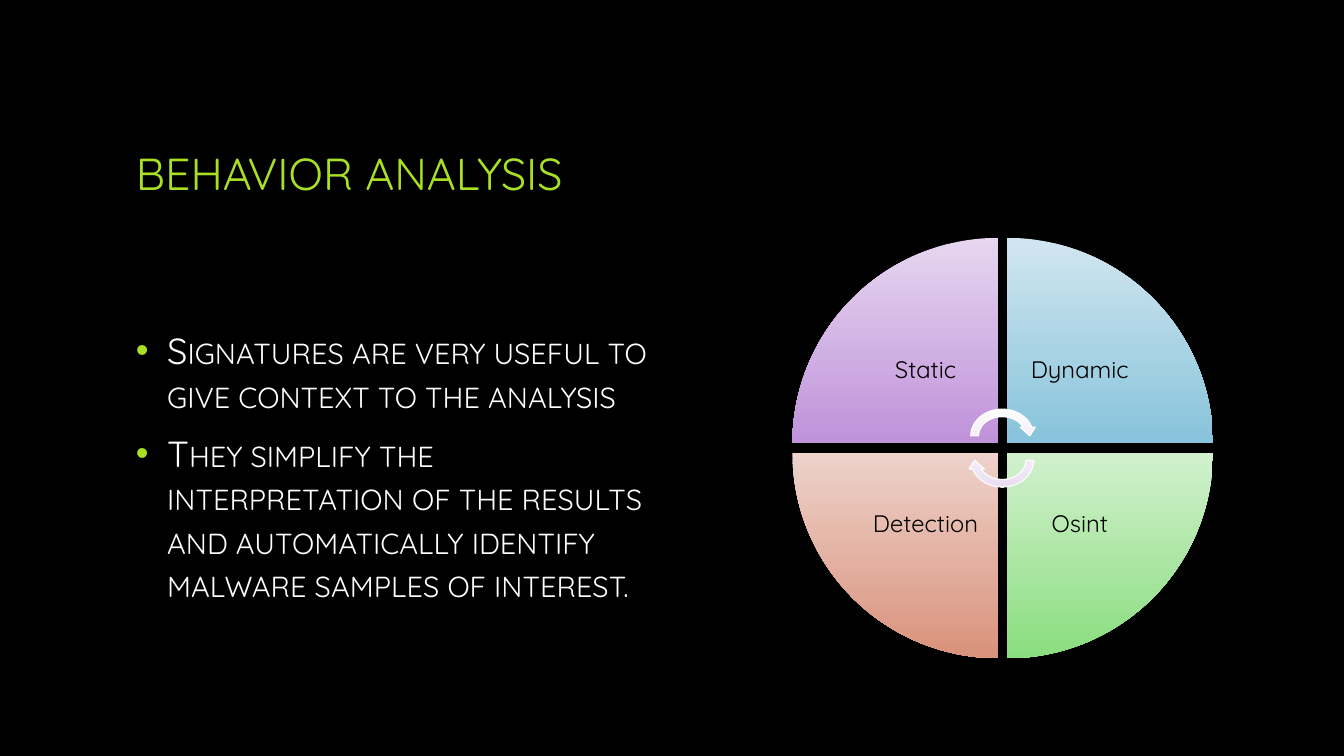
from pptx import Presentation
from pptx.dml.color import RGBColor
from pptx.enum import shapes, text
from pptx.oxml.ns import qn
from pptx.util import Inches, Pt
from lxml import etree

FONT = "Quicksand"
COLORS = {"back": "000000", "accent": "A9E023", "text": "FFFFFF", "label": "000000"}
TITLE = "BEHAVIOR ANALYSIS"
BULLETS = [
    "Signatures are very useful to give context to the analysis",
    "They simplify the interpretation of the results and automatically "
    "identify malware samples of interest.",
]
# label, column, row, rotation, gradient; clockwise from top left
WEDGES = [
    ("Static", 0, 0, 0, ("E6D6F0", "C092DA")),
    ("Dynamic", 1, 0, 90, ("D1E6F0", "87C3DB")),
    ("Osint", 1, 1, 180, ("D1F0CD", "8ADD7F")),
    ("Detection", 0, 1, 270, ("EED2CB", "D9927B")),
]
# top, rotation
ARROWS = [(4.02, 0), (4.26, 180)]
ARROW_GRADIENT = ("FFFFFF", "E8DCF1")
WHEEL_X, WHEEL_Y, WEDGE, PITCH, LABEL = 7.86, 2.36, 2.04, 2.13, 1.44


def rgb(value):
    return RGBColor.from_string(value)


def add_text(s, box, margins=(0.1, 0.05)):
    tf = s.shapes.add_textbox(*map(Inches, box)).text_frame
    tf.word_wrap = True
    tf.vertical_anchor = text.MSO_ANCHOR.MIDDLE
    tf.margin_left = tf.margin_right = Inches(margins[0])
    tf.margin_top = tf.margin_bottom = Inches(margins[1])
    return tf


def add_run(p, words, size, color):
    r = p.add_run()
    r.text = words
    r.font.name, r.font.size = FONT, Pt(size)
    r.font.color.rgb = rgb(color)
    return r


def add_gradient_shape(s, kind, box, rotation, gradient):
    sp = s.shapes.add_shape(kind, *map(Inches, box))
    sp.rotation = rotation
    sp.shadow.inherit = False
    sp.line.fill.background()
    sp.fill.gradient()
    sp.fill.gradient_angle = 270
    for stop, color in zip(sp.fill.gradient_stops, gradient):
        stop.color.rgb = rgb(color)
    # Light side stays on top whatever the rotation
    sp.element.spPr.find(qn("a:gradFill")).set("rotWithShape", "0")
    return sp


def add_bullet(p):
    pPr = p._p.get_or_add_pPr()
    pPr.set("marL", str(Inches(0.31)))
    pPr.set("indent", str(-Inches(0.31)))
    color = etree.SubElement(pPr, qn("a:buClr"))
    etree.SubElement(color, qn("a:srgbClr"), val=COLORS["accent"])
    etree.SubElement(pPr, qn("a:buFont"), typeface="Arial")
    etree.SubElement(pPr, qn("a:buChar"), char="•")


prs = Presentation()
prs.slide_width, prs.slide_height = Inches(13.33), Inches(7.5)
s = prs.slides.add_slide(prs.slide_layouts[6])
s.background.fill.solid()
s.background.fill.fore_color.rgb = rgb(COLORS["back"])

# Title
tf = add_text(s, (1.25, 0.67, 10.83, 2.08))
add_run(tf.paragraphs[0], TITLE, 32, COLORS["accent"])

# Bullets
tf = add_text(s, (1.25, 2.92, 5.33, 3.42))
for i, words in enumerate(BULLETS):
    p = tf.add_paragraph() if i else tf.paragraphs[0]
    add_bullet(p)
    p.space_before, p.space_after = Pt(5 if i else 0), Pt(6)
    r = add_run(p, words, 25.9, COLORS["text"])
    r.font._element.set("cap", "small")

# Wheel: each label sits in the inner corner of its wedge
for label, col, row, rotation, gradient in WEDGES:
    x, y = WHEEL_X + col * PITCH, WHEEL_Y + row * PITCH
    add_gradient_shape(s, shapes.MSO_SHAPE.PIE_WEDGE, (x, y, WEDGE, WEDGE), rotation, gradient)
    inset = WEDGE - LABEL
    tf = add_text(s, (x + inset * (1 - col), y + inset * (1 - row), LABEL, LABEL), (0.13, 0.13))
    p = tf.paragraphs[0]
    p.alignment, p.line_spacing = text.PP_ALIGN.CENTER, 0.9
    add_run(p, label, 17, COLORS["label"])

# Turning arrows at the hub
for top, rotation in ARROWS:
    sp = add_gradient_shape(s, shapes.MSO_SHAPE.CIRCULAR_ARROW, (9.59, top, 0.7, 0.61),
                            rotation, ARROW_GRADIENT)
    sp.line.color.rgb = rgb(COLORS["text"])
    sp.line.width = Pt(0.75)

prs.save("out.pptx")
